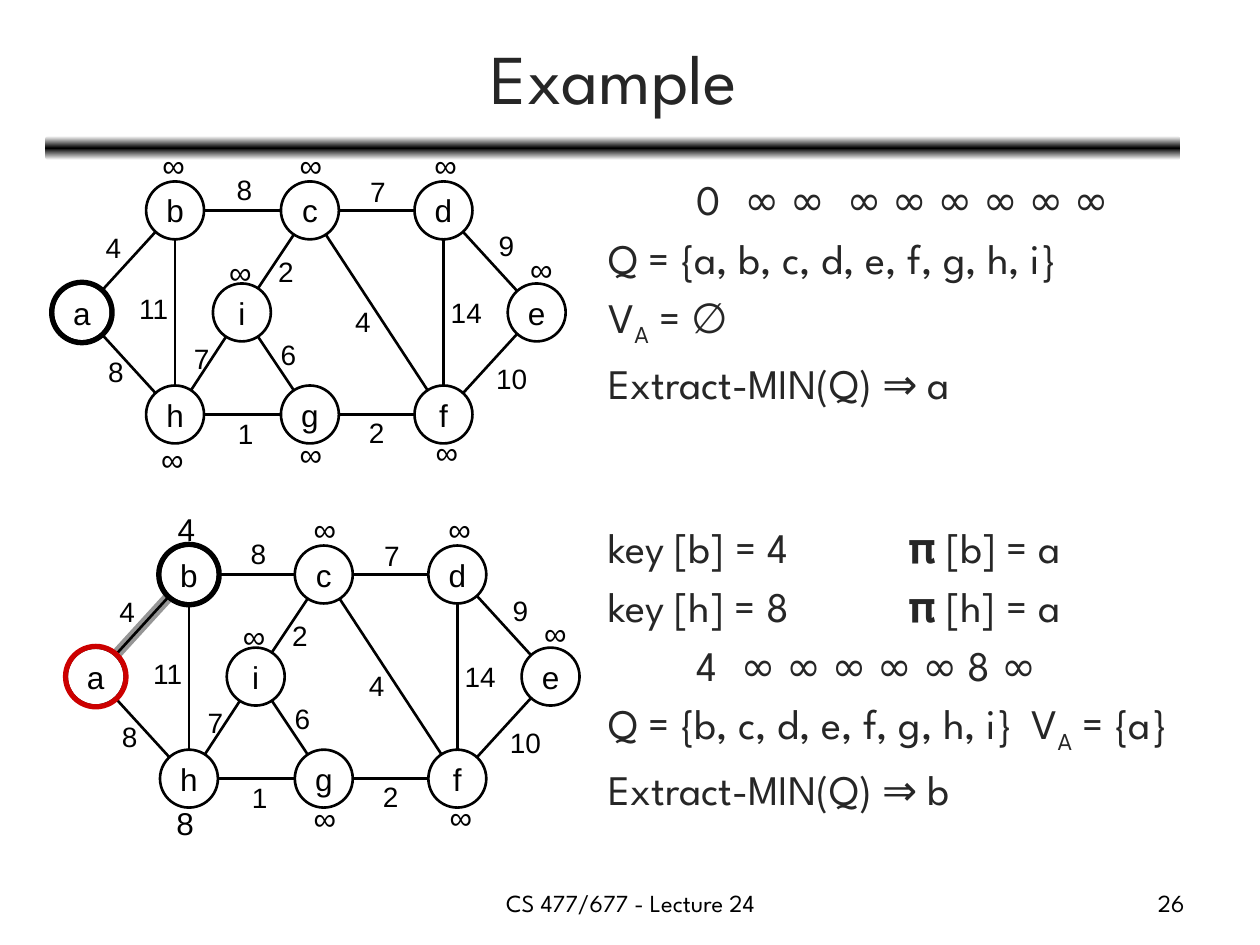
from copy import deepcopy
from math import hypot

from lxml import etree
from pptx import Presentation
from pptx.dml.color import RGBColor
from pptx.enum.shapes import MSO_CONNECTOR, MSO_SHAPE
from pptx.enum.text import MSO_ANCHOR, PP_ALIGN
from pptx.oxml.ns import qn
from pptx.util import Inches, Pt

CENTER, LEFT, RIGHT = PP_ALIGN.CENTER, PP_ALIGN.LEFT, PP_ALIGN.RIGHT
MIDDLE, TOP = MSO_ANCHOR.MIDDLE, MSO_ANCHOR.TOP
STRAIGHT = MSO_CONNECTOR.STRAIGHT
ELLIPSE, ROUNDED = MSO_SHAPE.OVAL, MSO_SHAPE.ROUNDED_RECTANGLE

BLACK, WHITE, GRAY, RED, INK = "000000", "FFFFFF", "969696", "CC0000", "262626"
BODY_FONT, GRAPH_FONT = "League Spartan", "Arial"

RADIUS = 0.23
COLUMNS = [0.65, 1.39, 1.92, 2.46, 3.52, 4.26]
ROWS = [1.67 + 0.81 * row for row in range(3)]
SECOND_STEP = (0.11, 2.89)

# vertex: column, row
VERTICES = {
    "a": (0, 1), "b": (1, 0), "c": (3, 0), "d": (4, 0), "e": (5, 1),
    "h": (1, 2), "g": (3, 2), "f": (4, 2), "i": (2, 1),
}
# edge: weight and centre of its label
EDGES = {
    "ab": ("4", 0.9, 1.96), "bc": ("8", 1.94, 1.5), "cd": ("7", 3, 1.52),
    "ah": ("8", 0.92, 2.95), "bh": ("11", 1.22, 2.45), "hg": ("1", 1.95, 3.44),
    "gf": ("2", 2.99, 3.43), "hi": ("7", 1.6, 2.84), "ic": ("2", 2.27, 2.15),
    "cf": ("4", 2.88, 2.55), "df": ("14", 3.7, 2.48), "de": ("9", 4.02, 1.95),
    "fe": ("10", 4.06, 3), "ig": ("6", 2.29, 2.81),
}
# centre of each key beside its vertex
KEY_SPOTS = {
    "b": (1.37, 1.31), "c": (2.46, 1.31), "d": (3.53, 1.31), "i": (1.9, 2.16),
    "e": (4.29, 2.13), "h": (1.36, 3.64), "g": (2.46, 3.6), "f": (3.54, 3.59),
}

# text with subscripts between underscores, and tab stops in inches
FIRST_STEPS = [
    ("\t0\t∞ ∞\t∞ ∞ ∞ ∞ ∞ ∞", [0.7, 1.08, 1.89]),
    ("Q = {a, b, c, d, e, f, g, h, i}", []),
    ("V_A_ = ∅", []),
    ("Extract-MIN(Q) ⇒ a", []),
]
SECOND_STEPS = [
    ("key [b] = 4\t𝛑 [b] = a", [2.38]),
    ("key [h] = 8\t𝛑 [h] = a", [2.38]),
    ("\t4\t∞ ∞ ∞ ∞ ∞ 8 ∞", [0.7, 1.05]),
    ("Q = {b, c, d, e, f, g, h, i}\tV_A_ = {a}", [3.36]),
    ("Extract-MIN(Q) ⇒ b", []),
]


def color(value):
    return RGBColor.from_string(value)


def format_font(font, size, name, ink):
    for key, value in {"size": Pt(size), "name": name}.items():
        setattr(font, key, value)
    font.color.rgb = color(ink)


def add_tab_stops(paragraph, stops):
    tabs = etree.SubElement(paragraph._p.get_or_add_pPr(), qn("a:tabLst"))
    for stop in stops:
        etree.SubElement(tabs, qn("a:tab"), pos=str(Inches(stop)), algn="l")


def add_text(slide, box, lines, size, name, ink, align=LEFT, wrap=True, anchor=TOP):
    frame = slide.shapes.add_textbox(*map(Inches, box)).text_frame
    frame.word_wrap, frame.vertical_anchor = wrap, anchor
    for index, (line, stops) in enumerate(lines):
        paragraph = frame.paragraphs[0] if index == 0 else frame.add_paragraph()
        paragraph.alignment = align
        if index:
            paragraph.space_before = Pt(size * 0.2)
        if stops:
            add_tab_stops(paragraph, stops)
        for part, text in enumerate(line.split("_")):
            run = paragraph.add_run()
            run.text = text
            format_font(run.font, size, name, ink)
            if part % 2:
                run.font._element.set("baseline", "-25000")


def add_label(slide, text, center, size):
    width, height = (0.45 if len(text) > 1 else 0.36), 0.38
    box = (center[0] - width / 2, center[1] - height / 2, width, height)
    add_text(slide, box, [(text, [])], size, GRAPH_FONT, BLACK, CENTER, False, MIDDLE)


def add_circle(slide, center, radius, ink, weight, letter=""):
    box = (center[0] - radius, center[1] - radius, 2 * radius, 2 * radius)
    circle = slide.shapes.add_shape(ELLIPSE, *map(Inches, box))
    circle.shadow.inherit = False
    circle.fill.background()
    circle.line.color.rgb, circle.line.width = color(ink), Pt(weight)
    if letter:
        frame = circle.text_frame
        frame.word_wrap, frame.vertical_anchor = False, MIDDLE
        paragraph = frame.paragraphs[0]
        paragraph.text, paragraph.alignment = letter, CENTER
        format_font(paragraph.font, 18, GRAPH_FONT, BLACK)


def add_edge(slide, start, end, ink=BLACK, weight=1.5):
    """Join the rims of the circles centred on start and end."""
    dx, dy = end[0] - start[0], end[1] - start[1]
    share = RADIUS / hypot(dx, dy)
    points = (start[0] + dx * share, start[1] + dy * share,
              end[0] - dx * share, end[1] - dy * share)
    edge = slide.shapes.add_connector(STRAIGHT, *map(Inches, points))
    edge.line.color.rgb, edge.line.width = color(ink), Pt(weight)
    etree.SubElement(edge._element.spPr, qn("a:effectLst"))


def add_graph(slide, shift, keys, rings, chosen=()):
    def move(point):
        return point[0] + shift[0], point[1] + shift[1]

    centers = {vertex: move((COLUMNS[column], ROWS[row]))
               for vertex, (column, row) in VERTICES.items()}
    for start, end in chosen:
        add_edge(slide, centers[start], centers[end], GRAY, 6)
    for vertex, center in centers.items():
        add_circle(slide, center, RADIUS, BLACK, 1.5, vertex)
    for (start, end), (weight, *spot) in EDGES.items():
        add_edge(slide, centers[start], centers[end])
        add_label(slide, weight, move(spot), 16)
    for vertex, ink in rings.items():
        add_circle(slide, centers[vertex], 0.24, ink, 3)
    for vertex, spot in KEY_SPOTS.items():
        add_label(slide, keys.get(vertex, "∞"), move(spot), 18)


def add_title_bar(slide):
    bar = slide.shapes.add_shape(ROUNDED, *map(Inches, (0.36, 1.08, 9.01, 0.19)))
    bar.shadow.inherit = False
    bar.line.fill.background()
    bar.fill.gradient()
    bar.fill.gradient_angle = 90
    stops = bar._element.spPr.find(".//" + qn("a:gsLst"))
    stops.insert(1, deepcopy(stops[0]))
    for stop, position, ink in zip(bar.fill.gradient_stops, (0, 0.5, 1),
                                   (WHITE, BLACK, WHITE)):
        stop.position, stop.color.rgb = position, color(ink)


def set_title(slide, text):
    title = slide.shapes.title
    place = {"left": 0.37, "top": 0.11, "width": 9, "height": 0.99}
    for key, value in place.items():
        setattr(title, key, Inches(value))
    title.text_frame.vertical_anchor = MIDDLE
    paragraph = title.text_frame.paragraphs[0]
    paragraph.text, paragraph.alignment = text, CENTER
    format_font(paragraph.font, 40, BODY_FONT, INK)


def main():
    deck = Presentation()
    deck.slide_width, deck.slide_height = Inches(10), Inches(7.5)
    slide = deck.slides.add_slide(deck.slide_layouts[5])
    add_title_bar(slide)
    set_title(slide, "Example")
    add_graph(slide, (0, 0), {}, {"a": BLACK})
    add_graph(slide, SECOND_STEP, {"b": "4", "h": "8"},
              {"b": BLACK, "a": RED}, ["ab"])
    add_text(slide, (4.73, 1.33, 4.59, 2.27), FIRST_STEPS, 24, BODY_FONT, INK)
    add_text(slide, (4.73, 4.09, 5.2, 2.47), SECOND_STEPS, 24, BODY_FONT, INK)
    for left, width, text, align in ((3.42, 3.17, "CS 477/677 - Lecture 24", CENTER),
                                     (7.17, 2.33, "26", RIGHT)):
        add_text(slide, (left, 7, width, 0.35), [(text, [])], 14, BODY_FONT, BLACK, align)
    deck.save("out.pptx")


if __name__ == "__main__":
    main()
